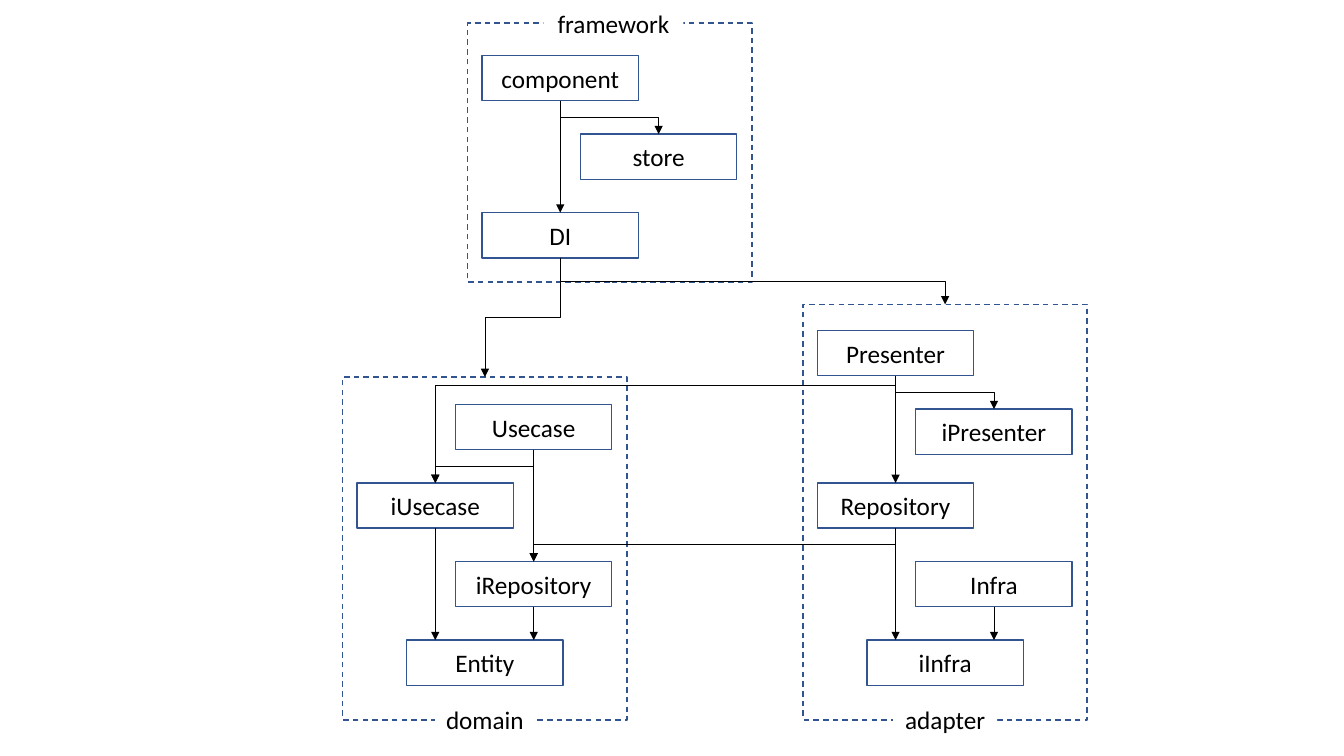
from dataclasses import dataclass

from lxml.etree import SubElement
from pptx import Presentation
from pptx.dml.color import RGBColor
from pptx.enum.dml import MSO_LINE
from pptx.enum.shapes import MSO_CONNECTOR, MSO_SHAPE
from pptx.enum.text import MSO_ANCHOR, PP_ALIGN
from pptx.oxml.ns import qn
from pptx.util import Cm, Pt


@dataclass(frozen=True)
class Theme:
    paper: RGBColor = RGBColor(0xFF, 0xFF, 0xFF)
    ink: RGBColor = RGBColor(0, 0, 0)
    edge: RGBColor = RGBColor(0x32, 0x54, 0x91)
    font: str = "Calibri"
    size: int = 18
    border: float = 1
    wire: float = 0.5


BOX_W, BOX_H, LABEL_H = 3.94, 1.14, 0.86
FRAME_W = 7.16
LEFT, MID, RIGHT = 0.36, 1.61, 2.84  # box columns, measured from the frame
STEP = 1.98  # distance between box rows


class Chart:
    def __init__(self, slide, theme):
        self.shapes = slide.shapes
        self.theme = theme

    def rect(self, x, y, w, h, text=""):
        shape = self.shapes.add_shape(MSO_SHAPE.RECTANGLE, Cm(x), Cm(y), Cm(w), Cm(h))
        shape.shadow.inherit = False
        shape.fill.solid()
        shape.fill.fore_color.rgb = self.theme.paper
        shape.line.color.rgb = self.theme.edge
        shape.line.width = Pt(self.theme.border)
        if text:
            self.caption(shape.text_frame, text)
        return shape

    def caption(self, frame, text):
        frame.word_wrap = False
        frame.vertical_anchor = MSO_ANCHOR.MIDDLE
        para = frame.paragraphs[0]
        para.alignment = PP_ALIGN.CENTER
        run = para.add_run()
        run.text = text
        style = {"name": self.theme.font, "size": Pt(self.theme.size)}
        for key, value in style.items():
            setattr(run.font, key, value)
        run.font.color.rgb = self.theme.ink

    def frame(self, x, top, bottom):
        shape = self.rect(x, top, FRAME_W, bottom - top)
        shape.line.dash_style = MSO_LINE.DASH
        return shape

    def label(self, text, x, edge, width, shift=0):
        """Center a borderless title on a frame's horizontal edge."""
        left = x + (FRAME_W - width) / 2 + shift
        shape = self.rect(left, edge - LABEL_H / 2, width, LABEL_H, text)
        shape.line.fill.background()

    def box(self, text, x, y):
        return self.rect(x, y, BOX_W, BOX_H, text)

    def finish(self, line):
        """Apply line style, arrowhead and no shadow."""
        line.line.color.rgb = self.theme.ink
        line.line.width = Pt(self.theme.wire)
        props = line._element.spPr
        SubElement(props.find(qn("a:ln")), qn("a:tailEnd"), type="triangle")
        SubElement(props, qn("a:effectLst"))

    def drop(self, a, b):
        """Run straight down from the bottom of a to the top of b."""
        x = a.left + a.width // 2
        line = self.shapes.add_connector(
            MSO_CONNECTOR.STRAIGHT, x, a.top + a.height, x, b.top)
        line.begin_connect(a, 2)
        if x == b.left + b.width // 2:
            line.end_connect(b, 0)
        self.finish(line)

    def bend(self, a, b, turn=0.5):
        """Run down, across and down from a to b, turning at a share of the height."""
        x1, y1 = a.left + a.width // 2, a.top + a.height
        x2, y2 = b.left + b.width // 2, b.top
        mid_x, mid_y = (x1 + x2) // 2, (y1 + y2) // 2
        # The elbow is laid out sideways, then rotated about its center.
        half_h = abs(x2 - x1) // 2
        half_w = (y2 - y1) // 2 * (1 if x2 < x1 else -1)
        line = self.shapes.add_connector(
            MSO_CONNECTOR.ELBOW, mid_x - half_w, mid_y - half_h,
            mid_x + half_w, mid_y + half_h)
        props = line._element.spPr
        angle = 90 if x2 < x1 else 270
        props.find(qn("a:xfrm")).set("rot", str(angle * 60000))
        guides = props.find(qn("a:prstGeom")).find(qn("a:avLst"))
        SubElement(guides, qn("a:gd"), name="adj1", fmla=f"val {round(turn * 100000)}")
        self.finish(line)


def main():
    deck = Presentation()
    deck.slide_width, deck.slide_height = Cm(33.87), Cm(19.05)
    chart = Chart(deck.slides.add_slide(deck.slide_layouts[6]), Theme())

    core_x, port_x, app_x = 8.64, 20.24, 11.79
    app_top, floor = 0.58, 18.14
    domain = chart.frame(core_x, 9.5, floor)
    adapter = chart.frame(port_x, 7.67, floor)
    chart.frame(app_x, app_top, 7.11)
    chart.label("domain", core_x, floor, 2.51)
    chart.label("adapter", port_x, floor, 2.62)
    chart.label("framework", app_x, app_top, 3.53, shift=0.09)

    app_y, core_y, port_y = 1.4, 10.19, 8.33
    spots = [
        ("component", app_x + LEFT, app_y, 0),
        ("store", app_x + RIGHT, app_y, 1),
        ("DI", app_x + LEFT, app_y, 2),
        ("Usecase", core_x + RIGHT, core_y, 0),
        ("iUsecase", core_x + LEFT, core_y, 1),
        ("iRepository", core_x + RIGHT, core_y, 2),
        ("Entity", core_x + MID, core_y, 3),
        ("Presenter", port_x + LEFT, port_y, 0),
        ("iPresenter", port_x + RIGHT, port_y, 1),
        ("Repository", port_x + LEFT, core_y, 1),
        ("Infra", port_x + RIGHT, core_y, 2),
        ("iInfra", port_x + MID, core_y, 3),
    ]
    nodes = {name: chart.box(name, x, y + row * STEP) for name, x, y, row in spots}

    drops = [
        ("component", "DI"), ("Usecase", "iRepository"),
        ("iUsecase", "Entity"), ("iRepository", "Entity"),
        ("Presenter", "Repository"), ("Repository", "iInfra"), ("Infra", "iInfra"),
    ]
    for start, end in drops:
        chart.drop(nodes[start], nodes[end])

    bends = [
        ("component", "store", 0.5), ("Usecase", "iUsecase", 0.5),
        ("Presenter", "iPresenter", 0.5), ("Presenter", "iUsecase", 0.09),
        ("Repository", "iRepository", 0.5),
    ]
    for start, end, turn in bends:
        chart.bend(nodes[start], nodes[end], turn)
    for group in (domain, adapter):
        chart.bend(nodes["DI"], group)

    deck.save("out.pptx")


if __name__ == "__main__":
    main()
